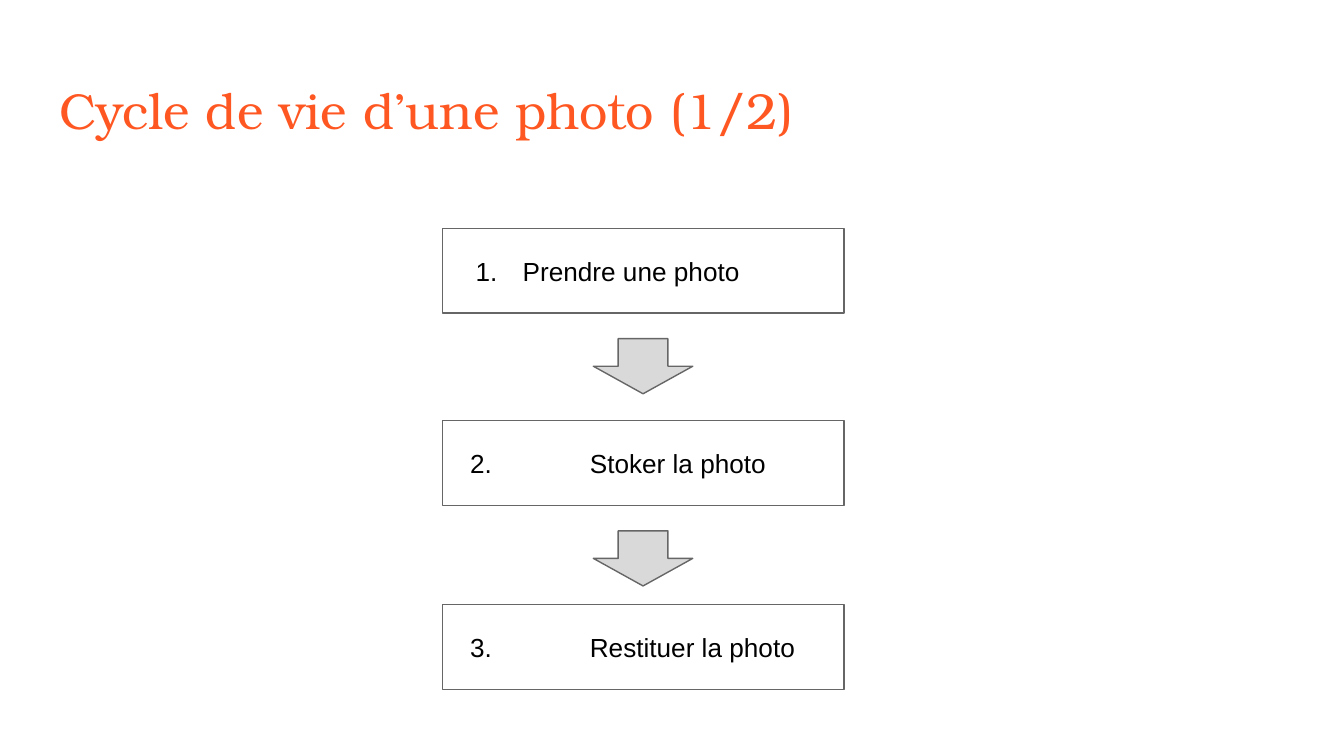
from pptx import Presentation
from pptx.dml.color import RGBColor
from pptx.enum.shapes import MSO_SHAPE
from pptx.enum.text import MSO_ANCHOR, MSO_AUTO_SIZE, PP_ALIGN
from pptx.oxml.ns import qn
from pptx.util import Inches, Pt
from lxml.etree import SubElement

THEME = {
    "title": ("TeX Gyre Bonum", 27, "FF5722"),
    "step": ("Arial", 14, "000000"),
    "line": "666666",
    "arrow": "D9D9D9",
}

deck = Presentation()
deck.slide_width = Inches(10)
deck.slide_height = deck.slide_width * 9 // 16
page = deck.slides.add_slide(deck.slide_layouts[5])


def write(shape, text, style, anchor):
    """Fill the shape with one left-aligned paragraph and return it."""
    frame = shape.text_frame
    frame.word_wrap = True
    frame.auto_size = MSO_AUTO_SIZE.NONE
    frame.vertical_anchor = anchor
    frame.margin_left = frame.margin_right = Inches(0.1)
    frame.margin_top = frame.margin_bottom = Inches(0.1)
    para = frame.paragraphs[0]
    para.alignment = PP_ALIGN.LEFT
    span = para.add_run()
    span.text = text
    name, size, color = THEME[style]
    span.font.name, span.font.size = name, Pt(size)
    span.font.color.rgb = RGBColor.from_string(color)
    return para


def add_outlined(kind, left, top, width, height):
    shape = page.shapes.add_shape(
        kind, Inches(left), Inches(top), Inches(width), Inches(height))
    shape.shadow.inherit = False
    shape.fill.background()
    shape.line.color.rgb = RGBColor.from_string(THEME["line"])
    shape.line.width = Pt(0.75)
    return shape


title = page.shapes.title
title.left, title.top = Inches(0.34), Inches(0.49)
title.width, title.height = Inches(9.32), Inches(0.63)
write(title, "Cycle de vie d’une photo (1/2)", "title", MSO_ANCHOR.TOP)

# One column: boxes share a left edge, arrows are centred below them.
box_left, box_width, box_height = 3.29, 2.99, 0.63
arrow_width, arrow_height, arrow_gap = 0.74, 0.41, 0.19
arrow_left = box_left + (box_width - arrow_width) / 2

# Top of the box, wording, text indent, hanging number, automatic numbering
steps = [
    (1.70, "Prendre une photo", 0.5, 0.35, True),
    (3.13, "2.\tStoker la photo", 1.0, 0.89, False),
    (4.50, "3.\tRestituer la photo", 1.0, 0.89, False),
]
for top, text, indent, hanging, numbered in steps:
    box = add_outlined(MSO_SHAPE.RECTANGLE, box_left, top, box_width, box_height)
    para = write(box, text, "step", MSO_ANCHOR.MIDDLE)
    settings = para._p.get_or_add_pPr()
    settings.set("marL", str(Inches(indent)))
    settings.set("indent", str(-Inches(hanging)))
    if numbered:
        SubElement(settings, qn("a:buFont"), typeface=THEME["step"][0])
        SubElement(settings, qn("a:buAutoNum"), type="arabicPeriod")

for top, *_ in steps[:-1]:
    arrow = add_outlined(MSO_SHAPE.DOWN_ARROW, arrow_left,
                         top + box_height + arrow_gap, arrow_width, arrow_height)
    arrow.fill.solid()
    arrow.fill.fore_color.rgb = RGBColor.from_string(THEME["arrow"])

deck.save("out.pptx")
